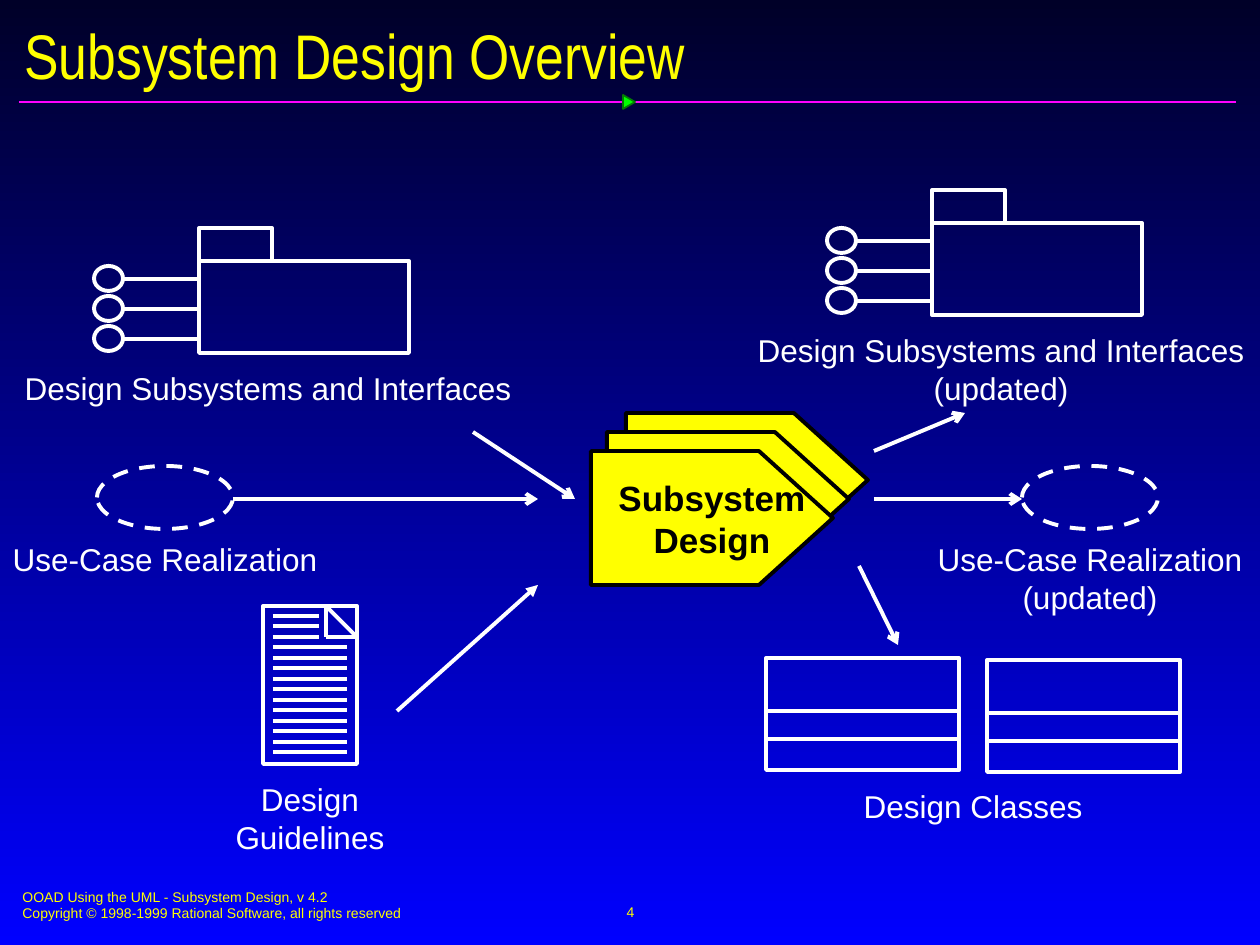
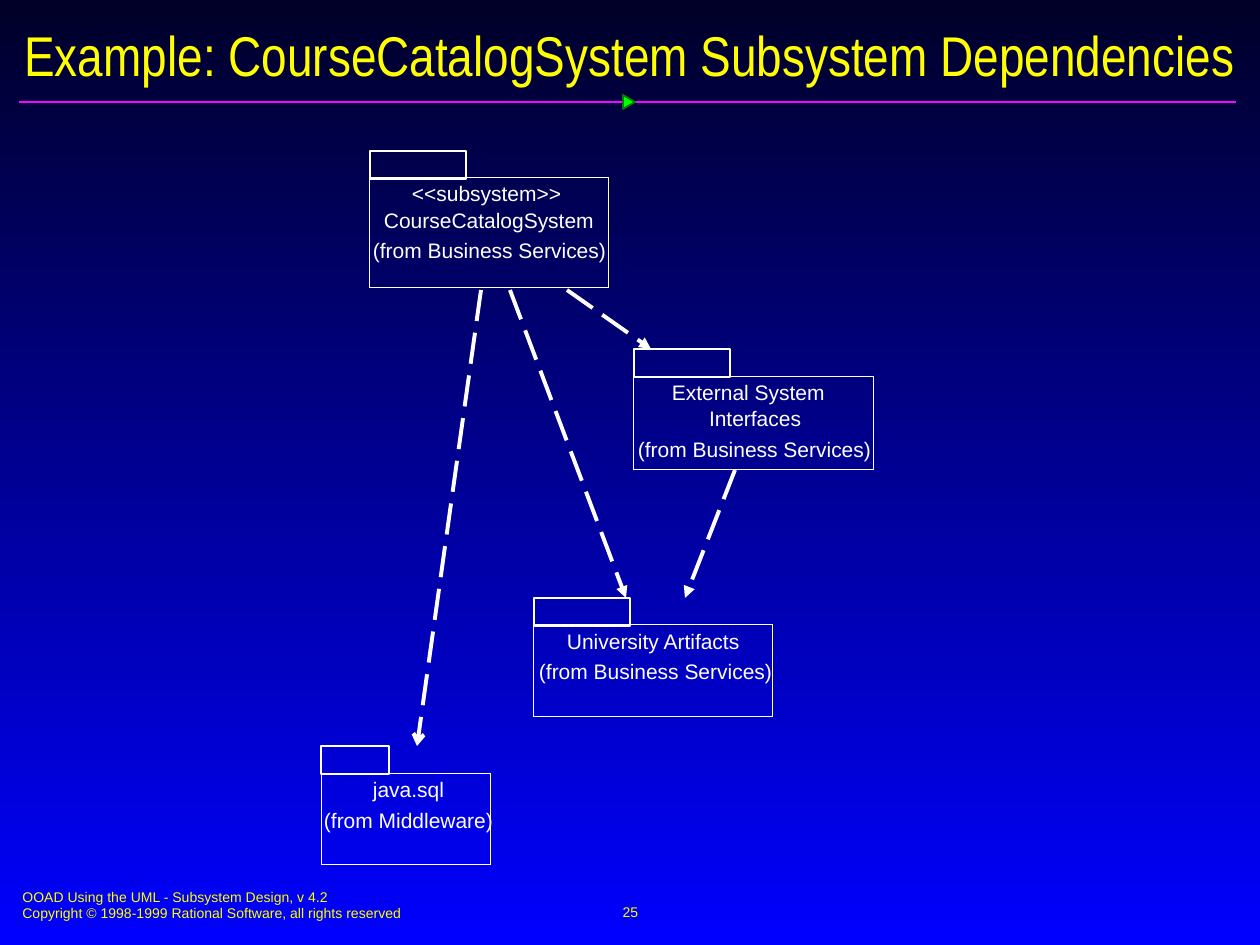
from lxml import etree
from pptx import Presentation
from pptx.dml.color import RGBColor
from pptx.enum.dml import MSO_LINE
from pptx.enum.shapes import MSO_CONNECTOR, MSO_SHAPE
from pptx.enum.text import MSO_ANCHOR, MSO_AUTO_SIZE, PP_ALIGN
from pptx.oxml.ns import qn
from pptx.util import Pt

PX = 914400 / 126
WIDE, HIGH = 1260, 945

NAVY = RGBColor(0x00, 0x00, 0x28)
BLUE = RGBColor(0x00, 0x00, 0xFF)
YELLOW = RGBColor(0xFF, 0xFF, 0x00)
WHITE = RGBColor(0xFF, 0xFF, 0xFF)
BLACK = RGBColor(0x00, 0x00, 0x00)
PINK = RGBColor(0xFF, 0x01, 0xFF)
LIME = RGBColor(0x00, 0xFF, 0x00)
GREEN = RGBColor(0x03, 0x7C, 0x03)

LEFT, CENTER = PP_ALIGN.LEFT, PP_ALIGN.CENTER
TOP, MIDDLE = MSO_ANCHOR.TOP, MSO_ANCHOR.MIDDLE
GROW = MSO_AUTO_SIZE.SHAPE_TO_FIT_TEXT
DASH, LONG = MSO_LINE.DASH, MSO_LINE.LONG_DASH
RECT, OVAL = MSO_SHAPE.RECTANGLE, MSO_SHAPE.OVAL
ARROW = MSO_SHAPE.ISOSCELES_TRIANGLE
STRAIGHT = MSO_CONNECTOR.STRAIGHT
HAIR = 0.01

FOOTER = (
    "OOAD Using the UML - Subsystem Design, v 4.2\n"
    "Copyright © 1998-1999 Rational Software, all rights reserved"
)
SOURCE = "(from Business Services)"


def emu(*sizes):
    return [round(size * PX) for size in sizes]


def write(frame, text, size, color, align=LEFT, font="Arial", bold=False):
    frame.text = text
    for para in frame.paragraphs:
        para.alignment = align
        for run in para.runs:
            run.font.size = Pt(size)
            run.font.name = font
            run.font.bold = bold
            run.font.color.rgb = color


def label(slide, box, text, size=18, color=WHITE, align=CENTER,
          font="Arial", anchor=TOP, wrap=False, inset=True):
    frame = slide.shapes.add_textbox(*emu(*box)).text_frame
    frame.word_wrap = wrap
    frame.vertical_anchor = anchor
    if anchor == TOP:
        frame.auto_size = GROW
    if not inset:
        frame.margin_left = frame.margin_right = 0
        frame.margin_top = frame.margin_bottom = 0
    write(frame, text, size, color, align, font)


def paint(shape, fill, color, width, dash=None):
    shape.shadow.inherit = False
    if fill is None:
        shape.fill.background()
    else:
        shape.fill.solid()
        shape.fill.fore_color.rgb = fill
    shape.line.color.rgb = color
    shape.line.width = Pt(width)
    if dash:
        shape.line.dash_style = dash


def draw(slide, kind, box, fill=None, color=WHITE, width=2.25, dash=None):
    shape = slide.shapes.add_shape(kind, *emu(*box))
    paint(shape, fill, color, width, dash)
    return shape


def line(slide, ends, color=WHITE, width=2.25, dash=None, head=None):
    link = slide.shapes.add_connector(STRAIGHT, *emu(*ends))
    link.line.color.rgb = color
    link.line.width = Pt(width)
    if dash:
        link.line.dash_style = dash
    props = link._element.spPr
    if head:
        etree.SubElement(props.find(qn("a:ln")), qn("a:tailEnd"), type=head)
    etree.SubElement(props, qn("a:effectLst"))


def frame_slide(deck, title, size, number):
    slide = deck.slides.add_slide(deck.slide_layouts[6])
    fill = slide.background.fill
    fill.gradient()
    fill.gradient_angle = 270
    for stop, color, place in zip(fill.gradient_stops, (NAVY, BLUE), (0, 1)):
        stop.color.rgb = color
        stop.position = place
    line(slide, (19, 102, 1236, 102), PINK, 1)
    draw(slide, ARROW, (622, 96, 14, 12), LIME, GREEN, 1).rotation = 90
    label(slide, (10, 882, 643, 47), FOOTER, 8, YELLOW, LEFT, wrap=True)
    label(slide, (431, 880, 399, 63), number, 8, YELLOW, anchor=MIDDLE)
    label(slide, (12, 18, 1240, 73), title, size, YELLOW, LEFT,
          "Arial Narrow", MIDDLE, True)
    return slide


def chevron(slide, x, y, text=""):
    tip = slide.shapes.build_freeform(x, y, scale=PX)
    tip.add_line_segments(
        [(x + 168, y), (x + 242, y + 67), (x + 168, y + 134), (x, y + 134)])
    shape = tip.convert_to_shape()
    paint(shape, YELLOW, BLACK, 2.25)
    if text:
        frame = shape.text_frame
        frame.word_wrap = False
        frame.vertical_anchor = MIDDLE
        write(frame, text, 20, BLACK, CENTER, bold=True)


def folder(slide, x, y, text):
    edge = x + 105
    draw(slide, RECT, (edge, y + 33, 210, 92))
    draw(slide, RECT, (edge, y, 73, 33))
    for top in range(y + 38, y + 128, 30):
        draw(slide, OVAL, (x, top, 29, 25))
        line(slide, (x + 29, top + 13, edge, top + 13))
    label(slide, (x - 82, y + 135, 512, 50), text)


def use_case(slide, x, y, text):
    draw(slide, OVAL, (x, y, 136, 63), dash=DASH)
    label(slide, (x - 97, y + 68, 330, 50), text)


def class_box(slide, x, y):
    draw(slide, RECT, (x, y, 193, 112))
    for level in (y + 53, y + 81):
        line(slide, (x, level, x + 193, level))


def guide(slide, x, y, text):
    right, fold, base = x + 94, x + 63, y + 31
    draw(slide, RECT, (x, y, 94, 158))
    line(slide, (fold, y, right, base))
    line(slide, (fold, y, fold, base))
    line(slide, (right, base, fold, base))
    for row in range(14):
        level = y + 10 + row * 21 // 2
        line(slide, (x + 10, level, x + (56 if row < 3 else 84), level))
    label(slide, (x - 40, y + 168, 174, 88), text)


def package(slide, box, tab, lines):
    x, y, wide, high = box
    draw(slide, RECT, (x, y + 27, wide, high), width=HAIR)
    draw(slide, RECT, (x, y, tab, 28), width=0.75)
    for text, left, top, span in lines:
        label(slide, (x + left, y + top, span, 25), text, 12,
              align=LEFT, inset=False)


def overview(deck):
    slide = frame_slide(deck, "Subsystem Design Overview", 36, "4")
    chevron(slide, 626, 413)
    chevron(slide, 607, 432)
    chevron(slide, 591, 451, "Subsystem\nDesign")
    folder(slide, 94, 228, "Design Subsystems and Interfaces")
    folder(slide, 827, 190, "Design Subsystems and Interfaces\n(updated)")
    use_case(slide, 97, 466, "Use-Case Realization")
    use_case(slide, 1022, 466, "Use-Case Realization\n(updated)")
    class_box(slide, 766, 658)
    class_box(slide, 987, 660)
    label(slide, (826, 781, 294, 50), "Design Classes", wrap=True)
    guide(slide, 263, 606, "Design\nGuidelines")
    for ends in (
        (233, 499, 538, 499),
        (874, 499, 1022, 499),
        (473, 432, 575, 499),
        (874, 451, 965, 413),
        (859, 566, 898, 645),
    ):
        line(slide, ends, head="arrow")
    line(slide, (397, 711, 538, 585), head="triangle")


def depends(deck):
    slide = frame_slide(
        deck, "Example: CourseCatalogSystem Subsystem Dependencies", 32, "25")
    package(slide, (321, 746, 170, 92), 68, [
        ("java.sql", 52, 31, 76),
        ("(from Middleware)", 3, 62, 173),
    ])
    package(slide, (370, 151, 239, 110), 96, [
        ("<<subsystem>>", 42, 30, 154),
        ("CourseCatalogSystem", 14, 57, 214),
        (SOURCE, 3, 87, 237),
    ])
    package(slide, (634, 349, 240, 94), 96, [
        ("External System", 38, 31, 163),
        ("Interfaces", 75, 57, 96),
        (SOURCE, 4, 88, 237),
    ])
    package(slide, (534, 598, 239, 92), 96, [
        ("University Artifacts", 33, 31, 178),
        (SOURCE, 5, 61, 237),
    ])
    for ends, head in (
        ((567, 290, 651, 349), "triangle"),
        ((510, 290, 626, 598), "triangle"),
        ((735, 470, 685, 598), "triangle"),
        ((481, 290, 417, 746), "arrow"),
    ):
        line(slide, ends, dash=LONG, head=head)


def main():
    deck = Presentation()
    deck.slide_width, deck.slide_height = emu(WIDE, HIGH)
    overview(deck)
    depends(deck)
    deck.save("out.pptx")


if __name__ == "__main__":
    main()
